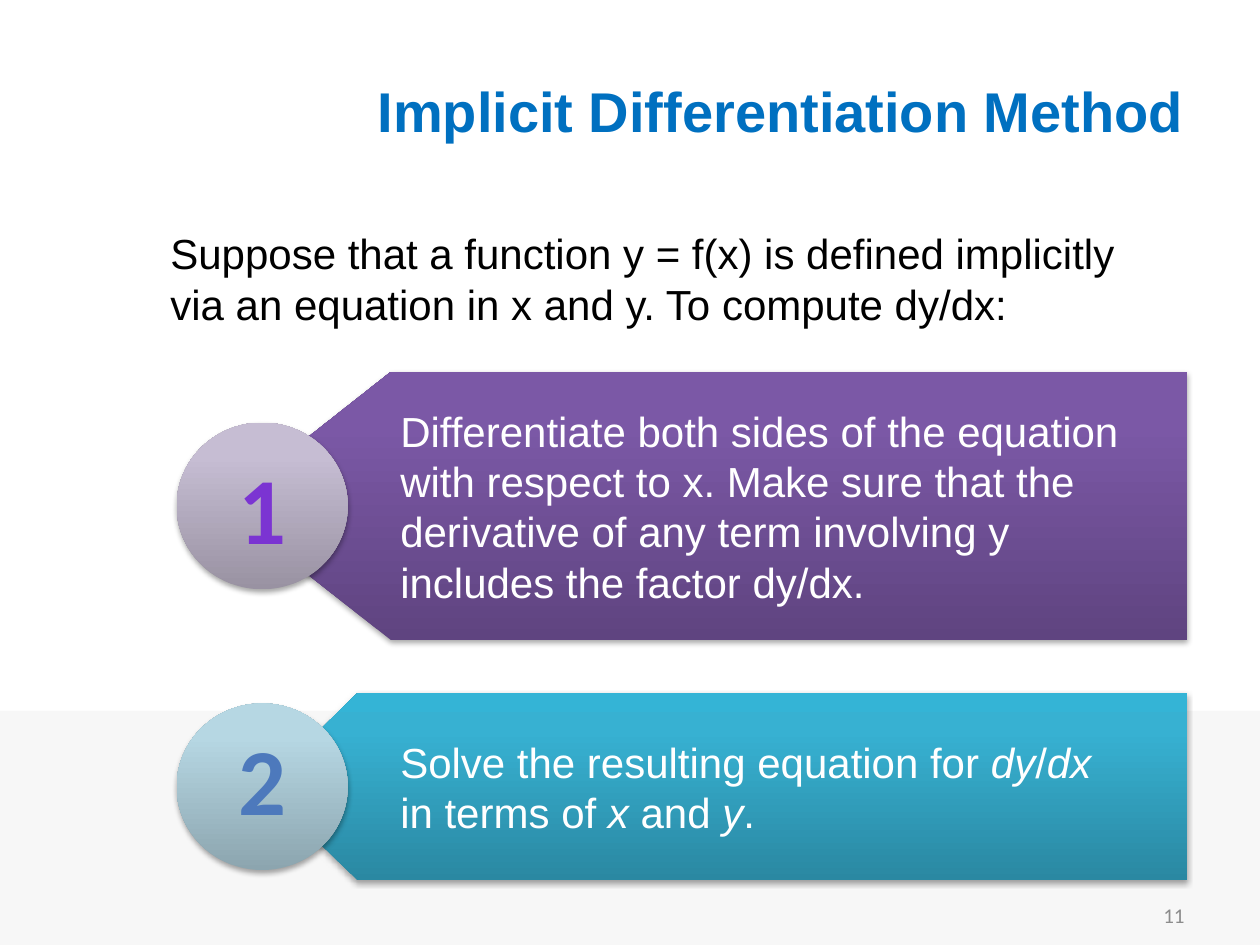
import pptx
import pptx.util
import pptx.dml.color
import pptx.enum.shapes
import pptx.enum.text
import pptx.oxml
import pptx.oxml.ns

Cm, Pt = pptx.util.Cm, pptx.util.Pt
RGB = pptx.dml.color.RGBColor.from_string
Align = pptx.enum.text.PP_ALIGN
Shape = pptx.enum.shapes.MSO_SHAPE


class Theme:
    font, digit = "Arial", "Calibri"
    title, text, white = "0070C0", "000000", "FFFFFF"
    band, page = "F7F7F7", "8C8C8C"
    head, body, number, small = 32, 24, 54, 12
    bars = ["5F4480 7B58A6 7C57A8", "2A88A2 37B1D2 34B4D6"]
    discs = ["9992A2 C6BDD3 C7BED4", "8CA5AF B6D7E3 B6D8E5"]
    digits = ["7B34D2", "4D79BC"]


def write(box, text, size=Theme.body, color=Theme.text, font=Theme.font,
          bold=False, align=Align.LEFT, wrap=True):
    """Fill the box with one paragraph; parts between asterisks are italic."""
    frame = box.text_frame
    frame.word_wrap = wrap
    frame.auto_size = pptx.enum.text.MSO_AUTO_SIZE.NONE
    frame.vertical_anchor = pptx.enum.text.MSO_ANCHOR.MIDDLE
    para = frame.paragraphs[0]
    para.alignment = align
    para.space_before = Pt(0)
    for k, part in enumerate(text.split("*")):
        run = para.add_run()
        run.text = part
        run.font.name, run.font.size = font, Pt(size)
        run.font.bold, run.font.italic = bold, k % 2 == 1
        run.font.color.rgb = RGB(color)


def shade(shape, colors):
    """Give a vertical gradient, darkest at the bottom, and a soft shadow."""
    shape.line.fill.background()
    stops = "".join(
        f'<a:gs pos="{pos}000"><a:srgbClr val="{color}"/></a:gs>'
        for pos, color in zip((0, 80, 100), colors.split()))
    space = pptx.oxml.ns.nsdecls("a")
    props = shape._element.spPr
    props.find(pptx.oxml.ns.qn("a:ln")).addprevious(pptx.oxml.parse_xml(
        f'<a:gradFill {space} rotWithShape="1"><a:gsLst>{stops}</a:gsLst>'
        '<a:lin ang="16200000" scaled="0"/></a:gradFill>'))
    props.append(pptx.oxml.parse_xml(
        f'<a:effectLst {space}><a:outerShdw blurRad="39370" dist="22860" '
        'dir="5400000" rotWithShape="0"><a:srgbClr val="000000">'
        '<a:alpha val="35000"/></a:srgbClr></a:outerShdw></a:effectLst>'))


deck = pptx.Presentation()
deck.slide_width, deck.slide_height = Cm(25.4), Cm(19.05)
slide = deck.slides.add_slide(deck.slide_layouts[1])
shapes = slide.shapes

band = shapes.add_shape(Shape.RECTANGLE, 0, Cm(14.33), Cm(25.4), Cm(4.72))
band.shadow.inherit = False
band.fill.solid()
band.fill.fore_color.rgb = RGB(Theme.band)
band.line.fill.background()

page = shapes.add_textbox(Cm(18.2), Cm(17.93), Cm(5.93), Cm(1.02))
write(page, "11", size=Theme.small, color=Theme.page, font=Theme.digit,
      align=Align.RIGHT)

title = shapes.title
title.left, title.top = Cm(1.27), Cm(0.64)
title.width, title.height = Cm(22.86), Cm(3.18)
write(title, "Implicit Differentiation Method", size=Theme.head,
      color=Theme.title, bold=True, align=Align.RIGHT)

intro = slide.placeholders[1]
intro.left, intro.top = Cm(3.18), Cm(4.45)
intro.width, intro.height = Cm(20.52), Cm(2.31)
props = intro.text_frame.paragraphs[0]._p.get_or_add_pPr()
props.set("marL", "0")
props.set("indent", "0")
props.append(pptx.oxml.parse_xml(
    f'<a:buNone {pptx.oxml.ns.nsdecls("a")}/>'))
write(intro, "Suppose that a function y = f(x) is defined implicitly "
             "via an equation in x and y. To compute dy/dx:")

# Top, bottom, tip, shoulder, text height, digit centre, text
steps = [
    (7.49, 12.91, 4.45, 7.89, 4.37, 10.22,
     "Differentiate both sides of the equation with respect to x. "
     "Make sure that the derivative of any term involving y "
     "includes the factor dy/dx."),
    (13.97, 17.75, 5.28, 7.21, 2.31, 15.68,
     "Solve the resulting equation for *dy*/*dx *in terms of *x *and *y*."),
]
right, wide, tall = 23.93, 3.45, 3.36

for k, (top, low, tip, neck, high, spot, text) in enumerate(steps):
    mid = (top + low) / 2
    path = shapes.build_freeform(Cm(right), Cm(low))
    path.add_line_segments([
        (Cm(x), Cm(y)) for x, y in
        [(neck, low), (tip, mid), (neck, top), (right, top)]])
    shade(path.convert_to_shape(), Theme.bars[k])

    disc = shapes.add_shape(Shape.OVAL, Cm(3.56), Cm(mid - tall / 2),
                            Cm(wide), Cm(tall))
    shade(disc, Theme.discs[k])

    note = shapes.add_textbox(Cm(7.82), Cm(mid - high / 2),
                              Cm(15.24), Cm(high))
    write(note, text, color=Theme.white)

    digit = shapes.add_textbox(Cm(4.55), Cm(spot - 1.28), Cm(1.5), Cm(2.56))
    write(digit, str(k + 1), size=Theme.number, color=Theme.digits[k],
          font=Theme.digit, bold=True, align=Align.CENTER, wrap=False)

deck.save("out.pptx")
